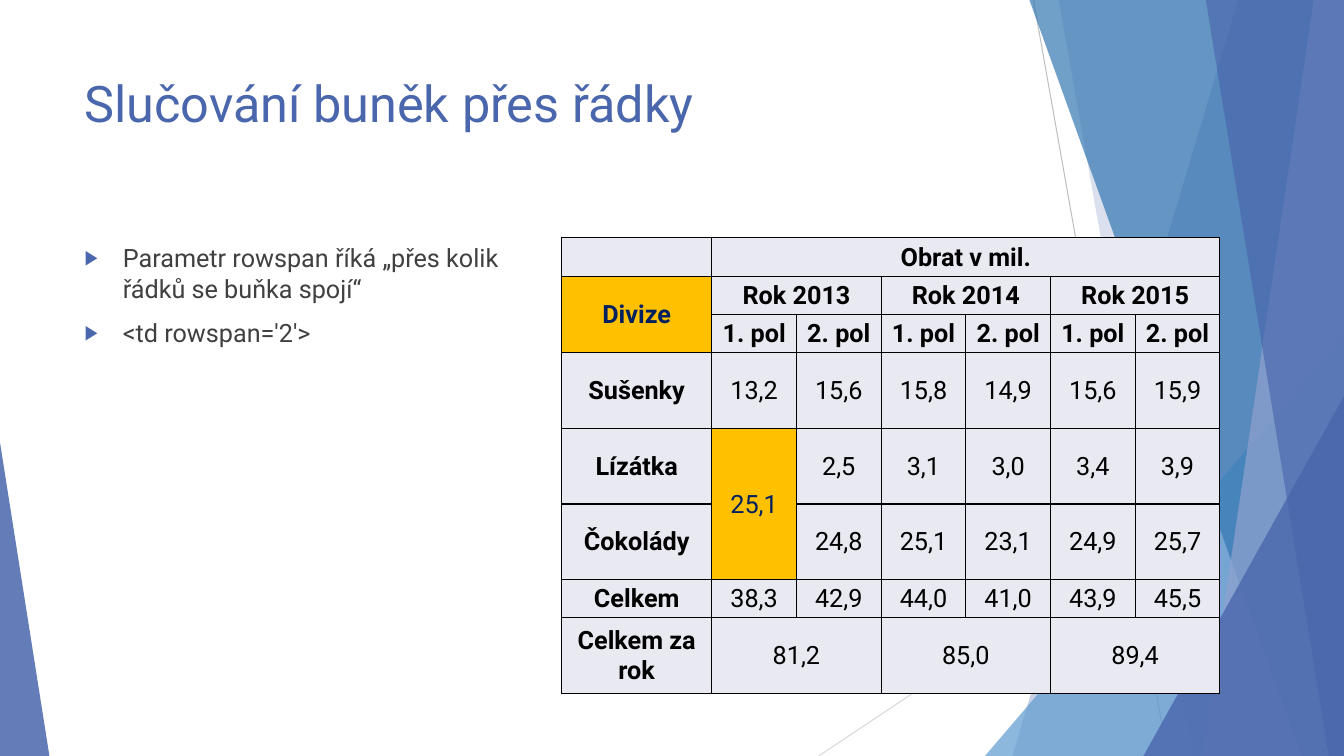
from lxml import etree
from pptx import Presentation
from pptx.dml.color import RGBColor
from pptx.enum.shapes import MSO_CONNECTOR, MSO_SHAPE
from pptx.enum.text import MSO_ANCHOR, PP_ALIGN
from pptx.oxml.ns import qn
from pptx.util import Inches, Pt

STRAIGHT, TRIANGLE = MSO_CONNECTOR.STRAIGHT, MSO_SHAPE.ISOSCELES_TRIANGLE
CENTER, MIDDLE = PP_ALIGN.CENTER, MSO_ANCHOR.MIDDLE

INDIGO = RGBColor(0x4A, 0x66, 0xAC)
SKY = RGBColor(0x62, 0x9D, 0xD1)
OCEAN = RGBColor(0x34, 0x77, 0xB2)
LAVENDER = RGBColor(0x90, 0xA2, 0xCF)
SILVER = RGBColor(0xBF, 0xBF, 0xBF)
LIGHT_GREY = RGBColor(0xD9, 0xD9, 0xD9)
DARK_GREY = RGBColor(0x40, 0x40, 0x40)
PALE = RGBColor(0xE9, 0xEA, 0xF1)
GOLD = RGBColor(0xFF, 0xC0, 0x00)
NAVY = RGBColor(0x00, 0x20, 0x60)
BLACK = RGBColor(0, 0, 0)

FONT = "Roboto"
WIDTH, HEIGHT = 13.33, 7.5

# Content
TITLE = "Slučování buněk přes řádky"
BULLETS = ["Parametr rowspan říká „přes kolik řádků se buňka spojí“", "<td rowspan='2'>"]
ROWS = [
    ["", "Obrat v mil.", "", "", "", "", ""],
    ["Divize", "Rok 2013", "", "Rok 2014", "", "Rok 2015", ""],
    ["", *["1. pol", "2. pol"] * 3],
    ["Sušenky", "13,2", "15,6", "15,8", "14,9", "15,6", "15,9"],
    ["Lízátka", "25,1", "2,5", "3,1", "3,0", "3,4", "3,9"],
    ["Čokolády", "", "24,8", "25,1", "23,1", "24,9", "25,7"],
    ["Celkem", "38,3", "42,9", "44,0", "41,0", "43,9", "45,5"],
    ["Celkem za rok", "81,2", "", "85,0", "", "89,4", ""],
]
HEADER_ROWS = 3
ROW_SPANS = [(1, 0), (4, 1)]  # highlighted cells, each two rows tall
YEAR_SPANS = [(row, column) for row in (1, 7) for column in (1, 3, 5)]
COLUMN_WIDTHS = [1.49] + [0.84] * 6
ROW_HEIGHTS = [0.38] * 3 + [0.75] * 3 + [0.38, 0.75]

# Decoration: lines, bands as (top x, bottom x), triangles as (left, top, width, apex)
LINES = [((10.25, 0), (11.58, HEIGHT), SILVER), ((WIDTH, 4.03), (8.12, HEIGHT), LIGHT_GREY)]
FACETS = [
    ("band", (12.28, 10.04), INDIGO, 30),
    ("band", (10.5, 11.83), INDIGO, 20),
    ("triangle", (9.77, 3.33, 3.56, 1), SKY, 72),
    ("band", (10.21, 12.91), OCEAN, 70),
    ("band", (13.03, 11.92), LAVENDER, 70),
    ("band", (11.96, 13.18), INDIGO, 65),
    ("triangle", (11.34, 3.93, 1.99, 1), INDIGO, 80),
    ("triangle", (0, 4.39, 0.49, 0), INDIGO, 85),
]


def add_line(page, start, end, color):
    line = page.shapes.add_connector(STRAIGHT, *map(Inches, start + end))
    line.line.color.rgb = color
    line.line.width = Pt(0.75)
    etree.SubElement(line._element.spPr, qn("a:effectLst"))


def add_facet(page, kind, geometry, color, opacity):
    if kind == "band":
        top, bottom = geometry
        outline = [(WIDTH, 0), (WIDTH, HEIGHT), (bottom, HEIGHT)]
        builder = page.shapes.build_freeform(Inches(top), 0)
        builder.add_line_segments([(Inches(x), Inches(y)) for x, y in outline])
        facet = builder.convert_to_shape()
    else:
        left, top, width, apex = geometry
        facet = page.shapes.add_shape(TRIANGLE, *map(Inches, (left, top, width, HEIGHT - top)))
        facet.adjustments[0] = apex
    facet.shadow.inherit = False
    facet.line.fill.background()
    facet.fill.solid()
    facet.fill.fore_color.rgb = color
    tint = facet._element.spPr.find(f"{qn('a:solidFill')}/{qn('a:srgbClr')}")
    etree.SubElement(tint, qn("a:alpha"), val=str(opacity * 1000))


def style(para, size, color, bold=False):
    para.font.name, para.font.size = FONT, Pt(size)
    para.font.color.rgb, para.font.bold = color, bold


def add_bullet(para):
    props = para._p.get_or_add_pPr()
    props.set("marL", str(Inches(0.38)))
    props.set("indent", str(-Inches(0.38)))
    color = etree.SubElement(props, qn("a:buClr"))
    etree.SubElement(color, qn("a:srgbClr"), val=str(INDIGO))
    etree.SubElement(props, qn("a:buSzPct"), val="80000")
    etree.SubElement(props, qn("a:buFont"), typeface="Arial")
    etree.SubElement(props, qn("a:buChar"), char="▶")


def add_text(page, box, lines, size, color, bulleted=False):
    frame = page.shapes.add_textbox(*map(Inches, box)).text_frame
    frame.word_wrap = True
    for index, line in enumerate(lines):
        para = frame.add_paragraph() if index else frame.paragraphs[0]
        para.text = line
        if index:
            para.space_before = Pt(10)
        if bulleted:
            add_bullet(para)
        style(para, size, color)


def add_borders(cell):
    props = cell._tc.get_or_add_tcPr()
    for position, side in enumerate(("lnL", "lnR", "lnT", "lnB")):
        border = etree.Element(qn(f"a:{side}"), w=str(Pt(1)))
        fill = etree.SubElement(border, qn("a:solidFill"))
        etree.SubElement(fill, qn("a:srgbClr"), val=str(BLACK))
        props.insert(position, border)


def add_turnover_table(page):
    size = sum(COLUMN_WIDTHS), sum(ROW_HEIGHTS)
    table = page.shapes.add_table(len(ROWS), len(COLUMN_WIDTHS),
                                  *map(Inches, (5.57, 2.36, *size))).table
    for column, width in zip(table.columns, COLUMN_WIDTHS):
        column.width = Inches(width)
    for row, height in zip(table.rows, ROW_HEIGHTS):
        row.height = Inches(height)
    for r, values in enumerate(ROWS):
        for c, value in enumerate(values):
            cell = table.cell(r, c)
            marked = (r, c) in ROW_SPANS
            cell.text = value
            cell.vertical_anchor = MIDDLE
            cell.margin_left = cell.margin_right = cell.margin_top = Inches(0.01)
            cell.margin_bottom = 0
            cell.fill.solid()
            cell.fill.fore_color.rgb = GOLD if marked else PALE
            add_borders(cell)
            para = cell.text_frame.paragraphs[0]
            para.alignment = CENTER
            style(para, 18, NAVY if marked else BLACK, bold=r < HEADER_ROWS or c == 0)
    # Merged cells
    table.cell(0, 1).merge(table.cell(0, 6))
    for r, c in ROW_SPANS:
        table.cell(r, c).merge(table.cell(r + 1, c))
    for r, c in YEAR_SPANS:
        table.cell(r, c).merge(table.cell(r, c + 1))


def main():
    deck = Presentation()
    deck.slide_width, deck.slide_height = Inches(WIDTH), Inches(HEIGHT)
    page = deck.slides.add_slide(deck.slide_layouts[6])
    for line in LINES:
        add_line(page, *line)
    for facet in FACETS:
        add_facet(page, *facet)
    add_text(page, (0.74, 0.67, 9.4, 1.44), [TITLE], 36, INDIGO)
    add_text(page, (0.74, 2.36, 4.58, 4.24), BULLETS, 18, DARK_GREY, bulleted=True)
    add_turnover_table(page)
    deck.save("out.pptx")


if __name__ == "__main__":
    main()
